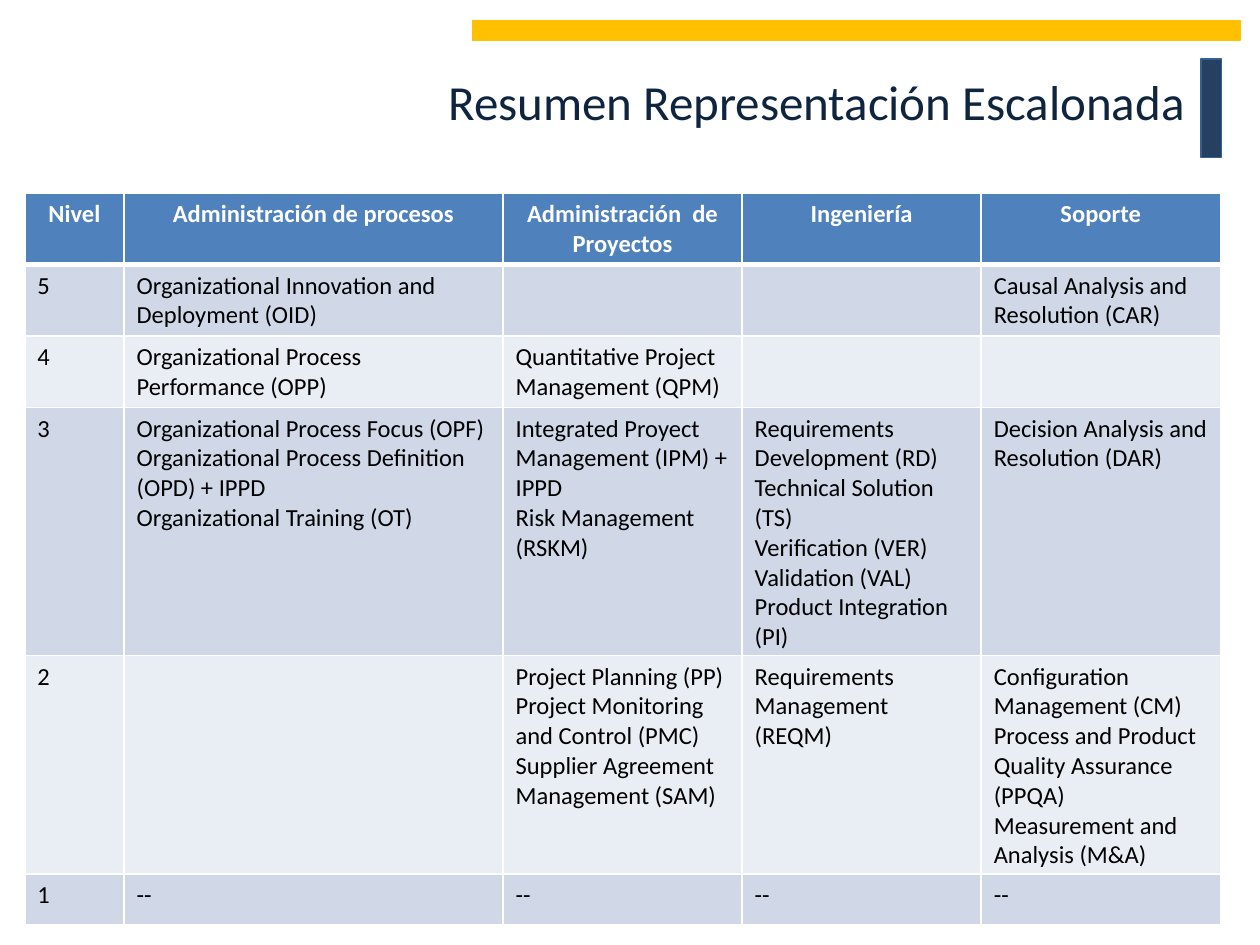
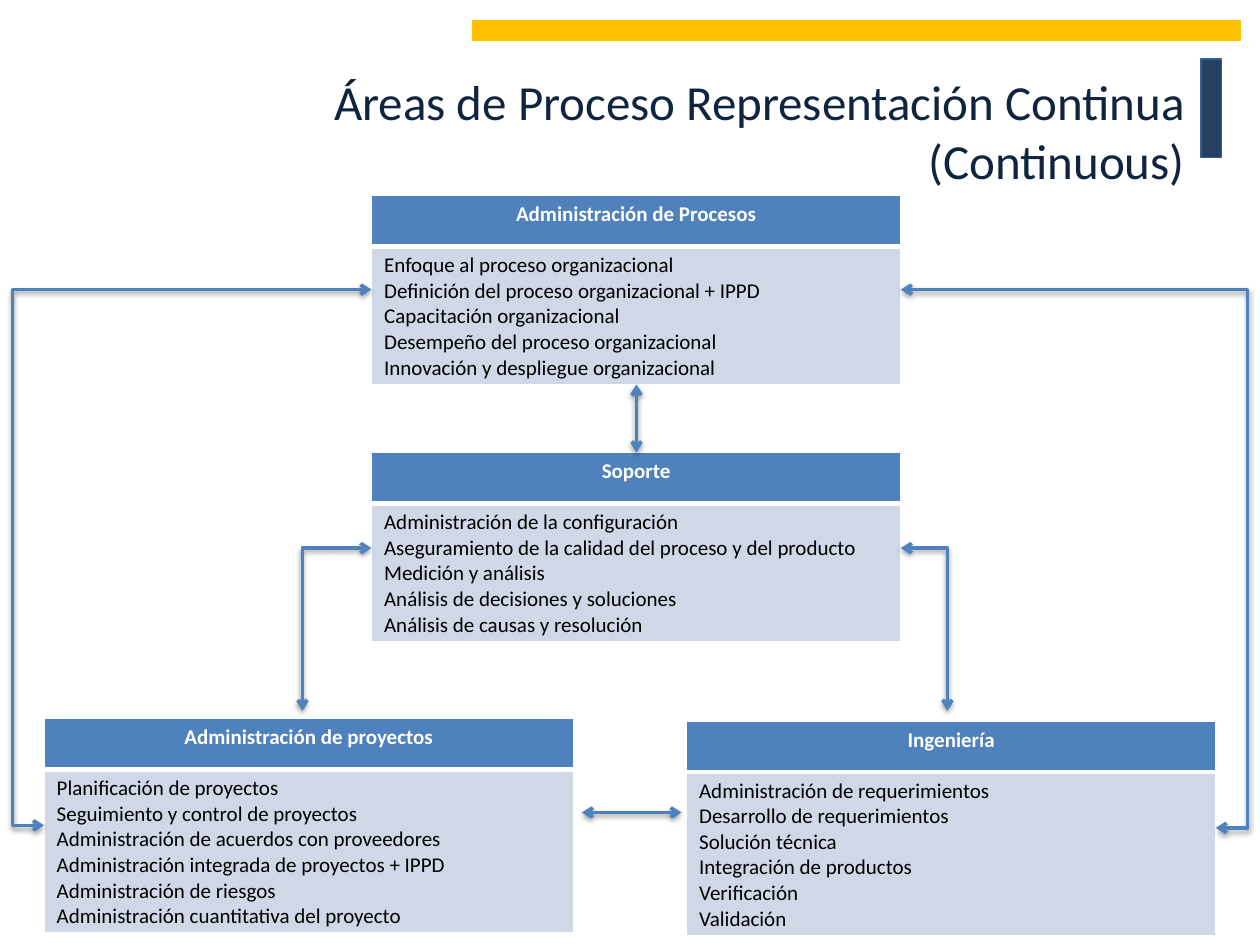
from dataclasses import dataclass
from typing import Optional

from lxml.etree import SubElement
from pptx import Presentation
from pptx.dml.color import RGBColor
from pptx.enum.shapes import MSO_CONNECTOR as Route, MSO_SHAPE as Preset
from pptx.enum.text import PP_ALIGN as Align
from pptx.oxml import parse_xml
from pptx.oxml.ns import nsdecls, qn
from pptx.util import Cm, Pt

FONT = "Calibri"
NAVY, INK, NAVY_EDGE, GOLD = "254061", "0F243E", "376092", "FFC000"
BLUE, WHITE, BLACK = "4F81BD", "FFFFFF", "000000"
BANDS = ("D0D8E8", "E9EDF4")
MIN_ROW = 1.03
CM_PER_PT = 2.54 / 72


@dataclass(frozen=True)
class Bar:
    left: float
    top: float
    width: float
    height: float
    fill: str
    edge: str


@dataclass(frozen=True)
class Area:
    left: float
    top: float
    heading: str
    processes: str


@dataclass(frozen=True)
class Arrow:
    x1: float
    y1: float
    x2: float
    y2: float
    bent: bool = False
    via: Optional[float] = None


BARS = (
    Bar(24.21, 1.19, 0.41, 1.98, NAVY, NAVY_EDGE),
    Bar(9.53, 0.41, 15.47, 0.41, GOLD, GOLD),
)

LEVEL_COLUMNS = (2, 7.64, 4.82, 4.82, 4.82)
LEVEL_LINES = (2, 2, 2, 8, 7, 1)
LEVELS = (
    ("Nivel", "Administración de procesos", "Administración  de Proyectos", "Ingeniería", "Soporte"),
    ("5", "Organizational Innovation and Deployment (OID)", "", "",
     "Causal Analysis and Resolution (CAR)"),
    ("4", "Organizational Process Performance (OPP)",
     "Quantitative Project Management (QPM)", "", ""),
    ("3",
     "Organizational Process Focus (OPF)\nOrganizational Process Definition (OPD) + IPPD\n"
     "Organizational Training (OT)",
     "Integrated Proyect Management (IPM) + IPPD\nRisk Management (RSKM)",
     "Requirements Development (RD)\nTechnical Solution (TS)\nVerification (VER)\n"
     "Validation (VAL)\nProduct Integration (PI)",
     "Decision Analysis and Resolution (DAR)"),
    ("2", "",
     "Project Planning (PP)\nProject Monitoring and Control (PMC)\n"
     "Supplier Agreement Management (SAM)",
     "Requirements Management (REQM)",
     "Configuration Management (CM)\nProcess and Product Quality Assurance (PPQA)\n"
     "Measurement and Analysis (M&A)"),
    ("1", "--", "--", "--", "--"),
)

AREA_WIDTH = 10.67
AREAS = (
    Area(7.49, 3.94, "Administración de Procesos",
         "Enfoque al proceso organizacional\nDefinición del proceso organizacional + IPPD\n"
         "Capacitación organizacional\nDesempeño del proceso organizacional\n"
         "Innovación y despliegue organizacional"),
    Area(7.49, 9.12, "Soporte",
         "Administración de la configuración\n"
         "Aseguramiento de la calidad del proceso y del producto\nMedición y análisis\n"
         "Análisis de decisiones y soluciones\nAnálisis de causas y resolución"),
    Area(0.89, 14.48, "Administración de proyectos",
         "Planificación de proyectos\nSeguimiento y control de proyectos\n"
         "Administración de acuerdos con proveedores\n"
         "Administración integrada de proyectos + IPPD\nAdministración de riesgos\n"
         "Administración cuantitativa del proyecto"),
    Area(13.84, 14.53, "Ingeniería",
         "Administración de requerimientos\nDesarrollo de requerimientos\nSolución técnica\n"
         "Integración de productos\nVerificación\nValidación"),
)
ARROWS = (
    Arrow(7.49, 11.05, 6.1, 14.33, bent=True),
    Arrow(18.16, 11.05, 19.1, 14.33, bent=True),
    Arrow(0.89, 16.64, 7.49, 5.84, bent=True, via=0.25),
    Arrow(18.16, 5.84, 24.51, 16.69, bent=True, via=25.15),
    Arrow(12.83, 9.12, 12.83, 7.75),
    Arrow(11.73, 16.38, 13.74, 16.38),
)


def color(hex_code: str) -> RGBColor:
    """Turn a hex string into a colour."""
    return RGBColor.from_string(hex_code)


def write(frame, text: str, *, size: float, ink: str = BLACK, bold: bool = False,
          align: Align = Align.LEFT) -> None:
    """Fill a text frame, one paragraph per line of text."""
    frame.word_wrap = True
    for index, line in enumerate(text.split("\n")):
        paragraph = frame.add_paragraph() if index else frame.paragraphs[0]
        paragraph.alignment = align
        paragraph.font.size = Pt(size)
        if line:
            run = paragraph.add_run()
            run.text = line
            run.font.name, run.font.size, run.font.bold = FONT, Pt(size), bold
            run.font.color.rgb = color(ink)


def draw_bar(slide, bar: Bar) -> None:
    """Draw one decorative bar."""
    block = slide.shapes.add_shape(
        Preset.RECTANGLE, Cm(bar.left), Cm(bar.top), Cm(bar.width), Cm(bar.height))
    block.shadow.inherit = False
    block.fill.solid()
    block.fill.fore_color.rgb = color(bar.fill)
    block.line.color.rgb = color(bar.edge)
    block.line.width = Pt(0.75)


def start_slide(deck, title: str):
    """Add a blank slide with its title and bars."""
    slide = deck.slides.add_slide(deck.slide_layouts[6])
    heading = slide.shapes.add_textbox(Cm(1.27), Cm(1.32), Cm(22.86), Cm(2.21))
    write(heading.text_frame, title, size=28, ink=INK, align=Align.RIGHT)
    for bar in BARS:
        draw_bar(slide, bar)
    return slide


def border_cell(cell, row: int) -> None:
    """Give a cell white borders, heavy between header and body."""
    properties = cell._tc.get_or_add_tcPr()
    heavy = {0: "B", 1: "T"}.get(row)
    for side in "LRTB":
        width = Pt(3 if side == heavy else 1)
        properties.append(parse_xml(
            f'<a:ln{side} {nsdecls("a")} w="{width}"><a:solidFill>'
            f'<a:srgbClr val="{WHITE}"/></a:solidFill></a:ln{side}>'))


def draw_table(slide, left: float, top: float, columns, rows, lines, size: float) -> None:
    """Draw a banded table whose row heights follow their line counts."""
    heights = [max(MIN_ROW, count * size * 1.2 * CM_PER_PT + 0.25) for count in lines]
    grid = slide.shapes.add_table(
        len(rows), len(columns), Cm(left), Cm(top), Cm(sum(columns)), Cm(sum(heights))).table
    for column, width in zip(grid.columns, columns):
        column.width = Cm(width)
    for r, (texts, height) in enumerate(zip(rows, heights)):
        grid.rows[r].height = Cm(height)
        header = r == 0
        for c, text in enumerate(texts):
            cell = grid.cell(r, c)
            border_cell(cell, r)
            cell.fill.solid()
            cell.fill.fore_color.rgb = color(BLUE if header else BANDS[(r - 1) % 2])
            write(cell.text_frame, text, size=size, bold=header,
                  ink=WHITE if header else BLACK,
                  align=Align.CENTER if header else Align.LEFT)


def draw_area(slide, area: Area) -> None:
    """Draw a process area as a header over its list."""
    lines = (1, area.processes.count("\n") + 1)
    rows = ((area.heading,), (area.processes,))
    draw_table(slide, area.left, area.top, (AREA_WIDTH,), rows, lines, size=12)


def draw_arrow(slide, arrow: Arrow) -> None:
    """Draw a shadowed double-headed arrow, straight or bent."""
    route = Route.ELBOW if arrow.bent else Route.STRAIGHT
    link = slide.shapes.add_connector(
        route, Cm(arrow.x1), Cm(arrow.y1), Cm(arrow.x2), Cm(arrow.y2))
    link.line.color.rgb = color(BLUE)
    link.line.width = Pt(2)
    properties = link._element.spPr
    geometry = properties.find(qn("a:prstGeom"))
    if arrow.via is not None:
        bend = round((arrow.via - arrow.x1) / (arrow.x2 - arrow.x1) * 100000)
        SubElement(geometry.find(qn("a:avLst")), qn("a:gd"), name="adj1", fmla=f"val {bend}")
    elif arrow.bent:
        geometry.set("prst", "bentConnector2")
    for end in ("a:headEnd", "a:tailEnd"):
        SubElement(properties.find(qn("a:ln")), qn(end), type="arrow")
    properties.append(parse_xml(
        f'<a:effectLst {nsdecls("a")}><a:outerShdw blurRad="{Pt(3.1)}" dist="{Pt(1.6)}" '
        f'dir="5400000" rotWithShape="0"><a:srgbClr val="{BLACK}"><a:alpha val="38000"/>'
        '</a:srgbClr></a:outerShdw></a:effectLst>'))


def main() -> None:
    """Build and save the deck."""
    deck = Presentation()
    deck.slide_width, deck.slide_height = Cm(25.4), Cm(19.05)

    staged = start_slide(deck, "Resumen Representación Escalonada")
    draw_table(staged, 0.5, 3.89, LEVEL_COLUMNS, LEVELS, LEVEL_LINES, size=14)

    continuous = start_slide(deck, "Áreas de Proceso Representación Continua (Continuous)")
    for area in AREAS:
        draw_area(continuous, area)
    for arrow in ARROWS:
        draw_arrow(continuous, arrow)

    deck.save("out.pptx")


main()
